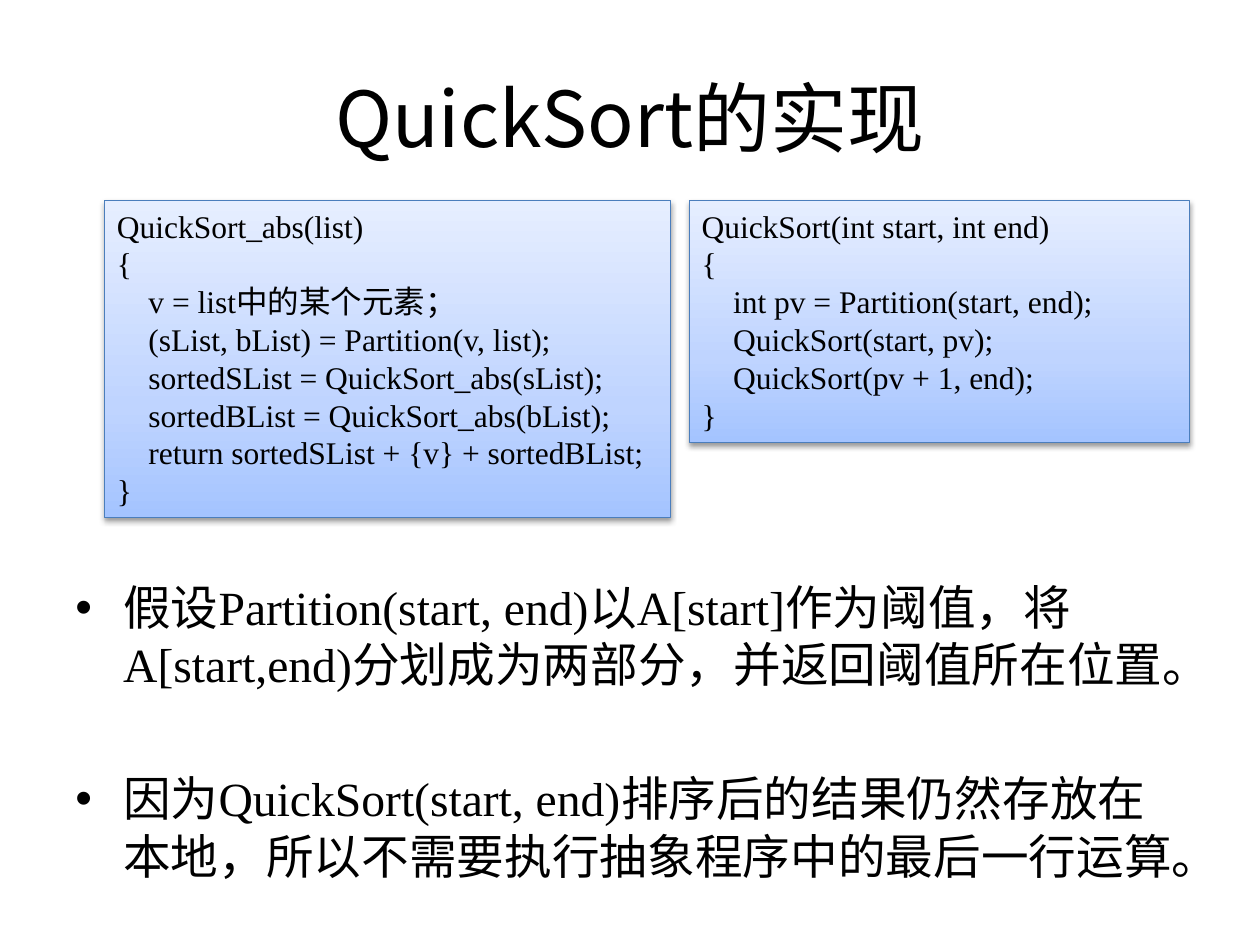
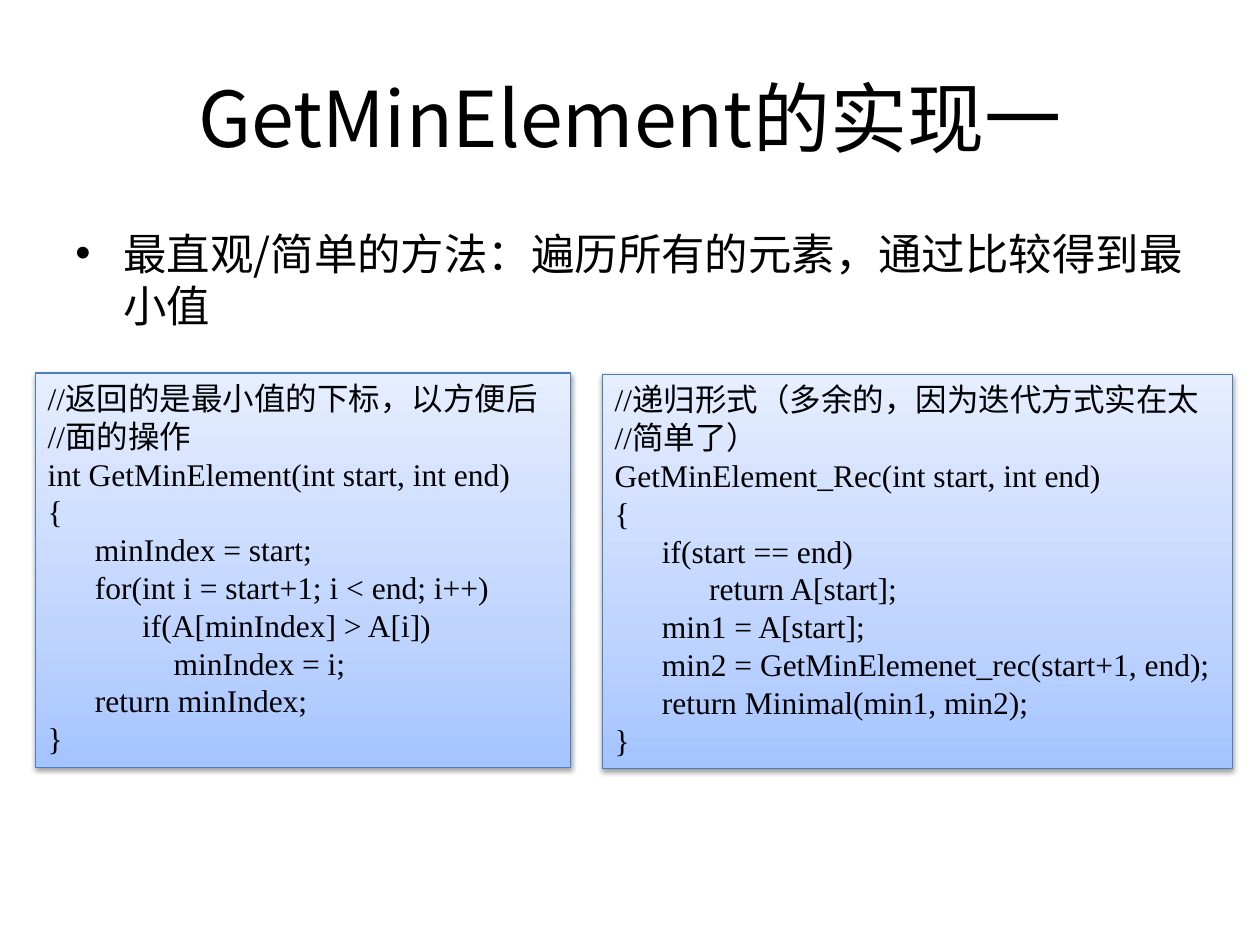
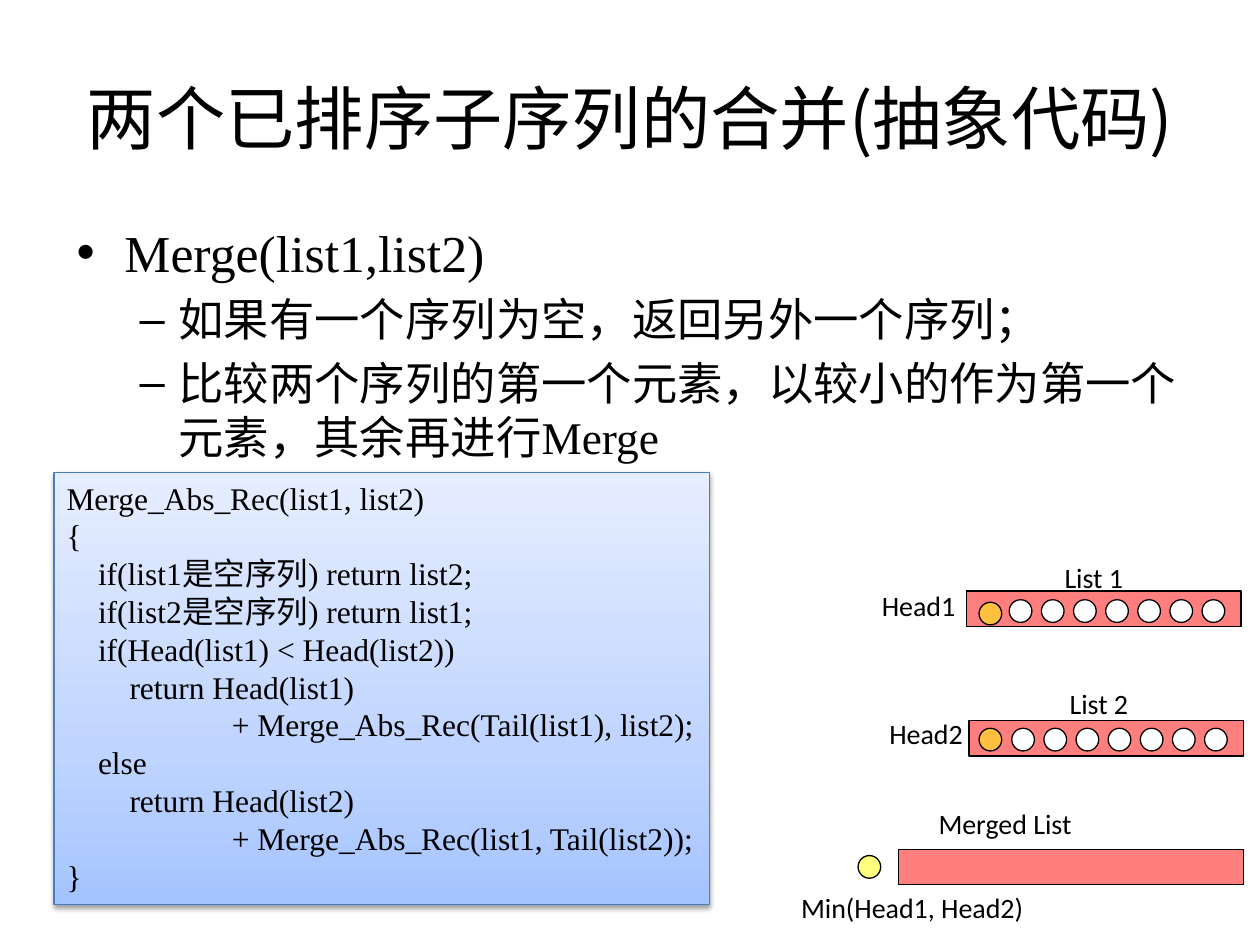
"""Build three slides about sorting and minimum-search algorithms."""
from lxml.etree import SubElement
from pptx import Presentation
from pptx.dml.color import RGBColor
from pptx.enum.shapes import MSO_SHAPE
from pptx.enum.text import MSO_ANCHOR, PP_ALIGN
from pptx.oxml.ns import qn
from pptx.util import Inches, Pt

SERIF, SANS, LABEL_FONT = "Times New Roman", "Noto Sans CJK SC", "Calibri"
TITLE_FONT = "Noto Sans CJK JP"
BLACK, WHITE, RED, YELLOW, CODE_BORDER = "000000", "FFFFFF", "FF0000", "FFFF00", "4B7EBC"
CODE_STOPS = [(0, "A4C4FF"), (35, "BFD4FF"), (100, "E6EEFF")]
BULLETS = [("•", 0.38, 0.38), ("–", 0.81, 0.31)]
SPACE = 1 / 16
LEADING = 1.2

# Each code line is (indent in spaces, text); each point is (level, size, space before, text).
SLIDES = [
    {
        "title": ("QuickSort的实现", 44, None),
        "body": ((0.5, 4.54, 9, 2.16), SERIF, [
            (0, 27.2, 5.4, "假设Partition(start, end)以A[start]作为阈值，将A[start,end)分划成为两部分，并返回阈值所在位置。"),
            (0, 27.2, 44, "因为QuickSort(start, end)排序后的结果仍然存放在本地，所以不需要执行抽象程序中的最后一行运算。"),
        ]),
        "code": [
            ((0.83, 1.59, 4.49, 2.52), [
                (0, "QuickSort_abs(list)"),
                (0, "{"),
                (4, "v = list中的某个元素；"),
                (4, "(sList, bList) = Partition(v, list);"),
                (4, "sortedSList = QuickSort_abs(sList);"),
                (4, "sortedBList = QuickSort_abs(bList);"),
                (4, "return sortedSList + {v} + sortedBList;"),
                (0, "}"),
            ]),
            ((5.47, 1.59, 3.97, 1.92), [
                (0, "QuickSort(int start, int end)"),
                (0, "{"),
                (4, "int pv = Partition(start, end);"),
                (4, "QuickSort(start, pv);"),
                (4, "QuickSort(pv + 1, end);"),
                (0, "}"),
            ]),
        ],
    },
    {
        "title": ("GetMinElement的实现一", 44, None),
        "body": ((0.5, 1.75, 9, 0.82), SANS, [
            (0, 24.8, 5, "最直观/简单的方法：遍历所有的元素，通过比较得到最小值"),
        ]),
        "code": [
            ((0.28, 2.96, 4.25, 3.13), [
                (0, "//返回的是最小值的下标，以方便后"),
                (0, "//面的操作"),
                (0, "int GetMinElement(int start, int end)"),
                (0, "{"),
                (6, "minIndex = start;"),
                (6, "for(int i = start+1; i < end; i++)"),
                (12, "if(A[minIndex] > A[i])"),
                (16, "minIndex = i;"),
                (6, "return minIndex;"),
                (0, "}"),
            ]),
            ((4.78, 2.97, 5, 3.13), [
                (0, "//递归形式（多余的，因为迭代方式实在太"),
                (0, "//简单了）"),
                (0, "GetMinElement_Rec(int start, int end)"),
                (0, "{"),
                (6, "if(start == end)"),
                (12, "return A[start];"),
                (6, "min1 = A[start];"),
                (6, "min2 = GetMinElemenet_rec(start+1, end);"),
                (6, "return Minimal(min1, min2);"),
                (0, "}"),
            ]),
        ],
    },
    {
        "title": ("两个已排序子序列的合并(抽象代码)", 39.6, 48),
        "body": ((0.51, 1.7, 9, 1.97), SERIF, [
            (0, 29.6, 5.9, "Merge(list1,list2)"),
            (1, 25.9, 5.2, "如果有一个序列为空，返回另外一个序列；"),
            (1, 25.9, 5.2, "比较两个序列的第一个元素，以较小的作为第一个元素，其余再进行Merge"),
        ]),
        "code": [
            ((0.43, 3.75, 5.2, 3.43), [
                (0, "Merge_Abs_Rec(list1, list2)"),
                (0, "{"),
                (4, "if(list1是空序列) return list2;"),
                (4, "if(list2是空序列) return list1;"),
                (4, "if(Head(list1) < Head(list2))"),
                (8, "return Head(list1)"),
                (21, "+ Merge_Abs_Rec(Tail(list1), list2);"),
                (4, "else"),
                (8, "return Head(list2)"),
                (21, "+ Merge_Abs_Rec(list1, Tail(list2));"),
                (0, "}"),
            ]),
        ],
    },
]

DOT, BAR_HEIGHT, DOT_STEP, TAIL_COUNT = 0.18, 0.28, 0.255, 7
# Bar (left, top, width), head dot (left, top), first tail dot or None.
LISTS = [
    ((7.67, 4.69, 2.18), (7.77, 4.78), (8.01, 4.76)),
    ((7.69, 5.72, 2.18), (7.77, 5.78), (8.03, 5.78)),
    ((7.13, 6.74, 2.74), (6.81, 6.79), None),
]
LABELS = [
    ("List 1", 8.35, 4.4, 0.85),
    ("List 2", 8.39, 5.4, 0.85),
    ("Merged List", 7.35, 6.35, 1.98),
    ("Head1", 6.9, 4.62, 0.85),
    ("Head2", 6.96, 5.64, 0.85),
    ("Min(Head1, Head2)", 6.26, 7.02, 1.97),
]


def rgb(value):
    """Turn a hex string into a colour."""
    return RGBColor.from_string(value)


def box(place):
    """Turn left, top, width and height in inches into lengths."""
    return [Inches(length) for length in place]


def write(frame, text, size=18, font=SERIF, color=BLACK, align=PP_ALIGN.LEFT,
          indent=0, hang=0, bullet=None, before=0, leading=None):
    """Write one formatted paragraph at the end of a text frame."""
    paragraph = frame.paragraphs[-1]
    if paragraph.runs:
        paragraph = frame.add_paragraph()
    paragraph.alignment = align
    paragraph.space_before = Pt(before)
    if leading:
        paragraph.line_spacing = Pt(leading)
    properties = paragraph._p.get_or_add_pPr()
    properties.set("marL", str(Inches(indent)))
    properties.set("indent", str(Inches(-hang)))
    if bullet:
        SubElement(properties, qn("a:buFont")).set("typeface", "Arial")
        SubElement(properties, qn("a:buChar")).set("char", bullet)
    run = paragraph.add_run()
    run.text = text
    run.font.size = Pt(size)
    run.font.color.rgb = rgb(color)
    run.font.name = font
    east_asian = font if font == TITLE_FONT else SANS
    SubElement(run._r.get_or_add_rPr(), qn("a:ea")).set("typeface", east_asian)


def add_text_frame(slide, place):
    """Add a wrapping text box and return its frame."""
    frame = slide.shapes.add_textbox(*box(place)).text_frame
    frame.word_wrap = True
    return frame


def add_outlined(slide, kind, place, border=BLACK):
    """Add a preset shape with a thin outline and no shadow."""
    shape = slide.shapes.add_shape(kind, *box(place))
    shape.shadow.inherit = False
    shape.line.color.rgb = rgb(border)
    shape.line.width = Pt(0.75)
    return shape


def add_filled(slide, kind, place, color, opacity=100):
    """Add an outlined shape with a solid fill of the given opacity."""
    shape = add_outlined(slide, kind, place)
    shape.fill.solid()
    shape.fill.fore_color.rgb = rgb(color)
    if opacity < 100:
        tint = shape._element.spPr.find(qn("a:solidFill")).find(qn("a:srgbClr"))
        SubElement(tint, qn("a:alpha")).set("val", str(opacity * 1000))


def add_code(slide, place, lines):
    """Add a code panel with a blue gradient and a soft shadow."""
    panel = add_outlined(slide, MSO_SHAPE.RECTANGLE, place, CODE_BORDER)
    panel.fill.gradient()
    panel.fill.gradient_angle = 90
    properties = panel._element.spPr
    stops = properties.find(qn("a:gradFill")).find(qn("a:gsLst"))
    for stop in list(stops):
        stops.remove(stop)
    for position, color in CODE_STOPS:
        stop = SubElement(stops, qn("a:gs"), pos=str(position * 1000))
        SubElement(stop, qn("a:srgbClr"), val=color)
    shadow = SubElement(properties.find(qn("a:effectLst")), qn("a:outerShdw"),
                        blurRad=str(Pt(3.1)), dist=str(Pt(1.6)), dir="5400000", rotWithShape="0")
    shade = SubElement(shadow, qn("a:srgbClr"), val=BLACK)
    SubElement(shade, qn("a:alpha"), val="38000")
    frame = panel.text_frame
    frame.word_wrap = True
    frame.vertical_anchor = MSO_ANCHOR.TOP
    for spaces, text in lines:
        write(frame, text, indent=spaces * SPACE, leading=18 * LEADING)


def add_merge_diagram(slide):
    """Draw the two lists, the merged list and their labels."""
    for (left, top, width), head, tail in LISTS:
        add_filled(slide, MSO_SHAPE.RECTANGLE, (left, top, width, BAR_HEIGHT), RED, 50)
        add_filled(slide, MSO_SHAPE.OVAL, (*head, DOT, DOT), YELLOW, 50)
        if tail:
            for index in range(TAIL_COUNT):
                place = (tail[0] + index * DOT_STEP, tail[1], DOT, DOT)
                add_filled(slide, MSO_SHAPE.OVAL, place, WHITE)
    for text, left, top, width in LABELS:
        frame = add_text_frame(slide, (left, top, width, 0.45))
        write(frame, text, size=16, font=LABEL_FONT, align=PP_ALIGN.JUSTIFY)


def add_slide(deck, content):
    """Add a slide with its title, bullet points and code panels."""
    slide = deck.slides.add_slide(deck.slide_layouts[5])
    heading = slide.shapes.title
    heading.left, heading.top, heading.width, heading.height = box((0.5, 0.3, 9, 1.25))
    heading.text_frame.vertical_anchor = MSO_ANCHOR.MIDDLE
    title, size, leading = content["title"]
    write(heading.text_frame, title, size=size, font=TITLE_FONT,
          align=PP_ALIGN.CENTER, leading=leading)
    place, font, points = content["body"]
    frame = add_text_frame(slide, place)
    for level, size, before, text in points:
        bullet, indent, hang = BULLETS[level]
        write(frame, text, size=size, font=font, indent=indent, hang=hang,
              bullet=bullet, before=before, leading=size * LEADING)
    for place, lines in content["code"]:
        add_code(slide, place, lines)
    return slide


def main():
    """Build and save the deck."""
    deck = Presentation()
    deck.slide_width, deck.slide_height = Inches(10), Inches(7.5)
    for content in SLIDES:
        slide = add_slide(deck, content)
    add_merge_diagram(slide)
    deck.save("out.pptx")


if __name__ == "__main__":
    main()
